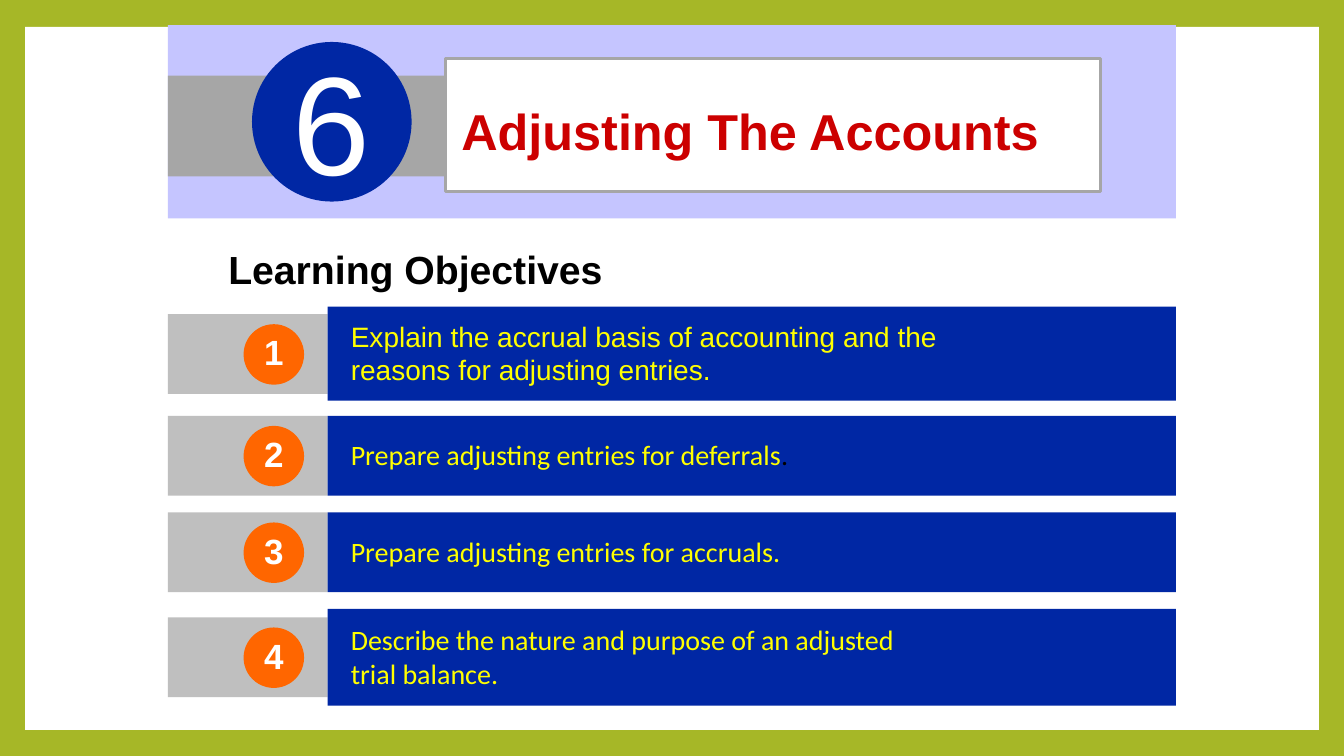
from pptx import Presentation
from pptx.dml.color import RGBColor
from pptx.enum.shapes import MSO_SHAPE
from pptx.enum.text import MSO_ANCHOR, MSO_AUTO_SIZE, PP_ALIGN
from pptx.util import Inches, Pt

COLORS = {
    "frame": "A6B727", "white": "FFFFFF", "banner": "C5C5FF", "band": "A6A6A6",
    "tab": "BFBFBF", "navy": "0027A4", "orange": "FF6600", "red": "CC0000",
    "yellow": "FFFF00", "black": "000000",
}
COLS, ROWS = 160, 90  # grid cells of 1/12 inch

# Row, height and lines of each objective, row of its tab, font
OBJECTIVES = [
    (36.5, 11.2, 37.4, "Arial", [
        [("Explain the accrual basis of accounting and the", "yellow")],
        [("reasons for adjusting entries.", "yellow")]]),
    (49.5, 9.5, 49.5, "Calibri", [
        [("Prepare adjusting entries for deferrals", "yellow"), (".", "black")]]),
    (61, 9.5, 61, "Calibri", [
        [("Prepare adjusting entries for accruals.", "yellow")]]),
    (72.5, 11.5, 73.5, "Calibri", [
        [("Describe the nature and purpose of an adjusted", "yellow")],
        [("trial balance.", "yellow")]]),
]


class Deck:
    def __init__(self):
        self.prs = Presentation()
        self.prs.slide_width, self.prs.slide_height = Inches(13.33), Inches(7.5)
        self.s = self.prs.slides.add_slide(self.prs.slide_layouts[5])
        fill = self.s.background.fill
        fill.solid()
        fill.fore_color.rgb = self.rgb("frame")

    def rgb(self, name):
        return RGBColor.from_string(COLORS[name])

    def box(self, col, row, width, height):
        x, y = self.prs.slide_width / COLS, self.prs.slide_height / ROWS
        return int(col * x), int(row * y), int(width * x), int(height * y)

    def paint(self, sp, color):
        sp.fill.solid()
        sp.fill.fore_color.rgb = self.rgb(color)

    def shape(self, kind, color, *cells):
        sp = self.s.shapes.add_shape(kind, *self.box(*cells))
        sp.shadow.inherit = False
        self.paint(sp, color)
        sp.line.fill.background()
        return sp

    def rect(self, color, *cells):
        return self.shape(MSO_SHAPE.RECTANGLE, color, *cells)

    def set_text(self, sp, lines, font, size, margins, bold=False,
                 align=PP_ALIGN.LEFT, anchor=MSO_ANCHOR.MIDDLE):
        """Each line is a list of (text, color) runs; margins are in inches."""
        tf = sp.text_frame
        tf.word_wrap = True
        tf.auto_size = MSO_AUTO_SIZE.NONE
        tf.vertical_anchor = anchor
        (tf.margin_left, tf.margin_top,
         tf.margin_right, tf.margin_bottom) = map(Inches, margins)
        for i, runs in enumerate(lines):
            p = tf.add_paragraph() if i else tf.paragraphs[0]
            p.alignment = align
            p.font.name, p.font.size, p.font.bold = font, Pt(size), bold
            for text, color in runs:
                r = p.add_run()
                r.text = text
                r.font.color.rgb = self.rgb(color)

    def title(self, text, *cells):
        sp = self.s.shapes.title
        self.s.shapes._spTree.append(sp._element)  # bring in front of the banner
        sp.left, sp.top, sp.width, sp.height = self.box(*cells)
        self.paint(sp, "white")
        sp.line.color.rgb = self.rgb("band")
        sp.line.width = Pt(2.25)
        self.set_text(sp, [[(text, "red")]], "Arial", 36, (0.16, 0.15, 0.1, 0.05), bold=True)

    def heading(self, text, *cells):
        sp = self.s.shapes.add_textbox(*self.box(*cells))
        self.set_text(sp, [[(text, "black")]], "Arial", 28, (0.1, 0.1, 0.1, 0.05),
                      bold=True, anchor=MSO_ANCHOR.TOP)

    def badge(self, text, color, size, bold, col, row, diameter):
        sp = self.shape(MSO_SHAPE.OVAL, color, col, row, diameter, diameter)
        self.set_text(sp, [[(text, "white")]], "Arial", size, (0.1, 0, 0.1, 0.05),
                      bold=bold, align=PP_ALIGN.CENTER)

    def objective(self, number, row, height, tab_row, font, lines):
        self.rect("tab", 20, tab_row, 19, 9.5)
        bar = self.rect("navy", 39, row, 101, height)
        self.set_text(bar, lines, font, 20, (0.23, 0.03, 0.1, 0.05))
        self.badge(str(number), "orange", 25, True, 29, tab_row + 1.2, 7.2)


def main():
    deck = Deck()

    # White page inside the green frame
    deck.rect("white", 3, 3.2, 154, 83.7)

    # Chapter banner
    deck.rect("banner", 20, 3, 120, 23)
    deck.rect("band", 20, 9, 33, 12)
    deck.title("Adjusting The Accounts", 53, 7, 78, 15.75)
    deck.badge("6", "navy", 100, False, 30, 5, 19)

    # Learning objectives
    deck.heading("Learning Objectives", 26, 28, 58, 6.8)
    for number, item in enumerate(OBJECTIVES, 1):
        deck.objective(number, *item)

    deck.prs.save("out.pptx")


if __name__ == "__main__":
    main()
